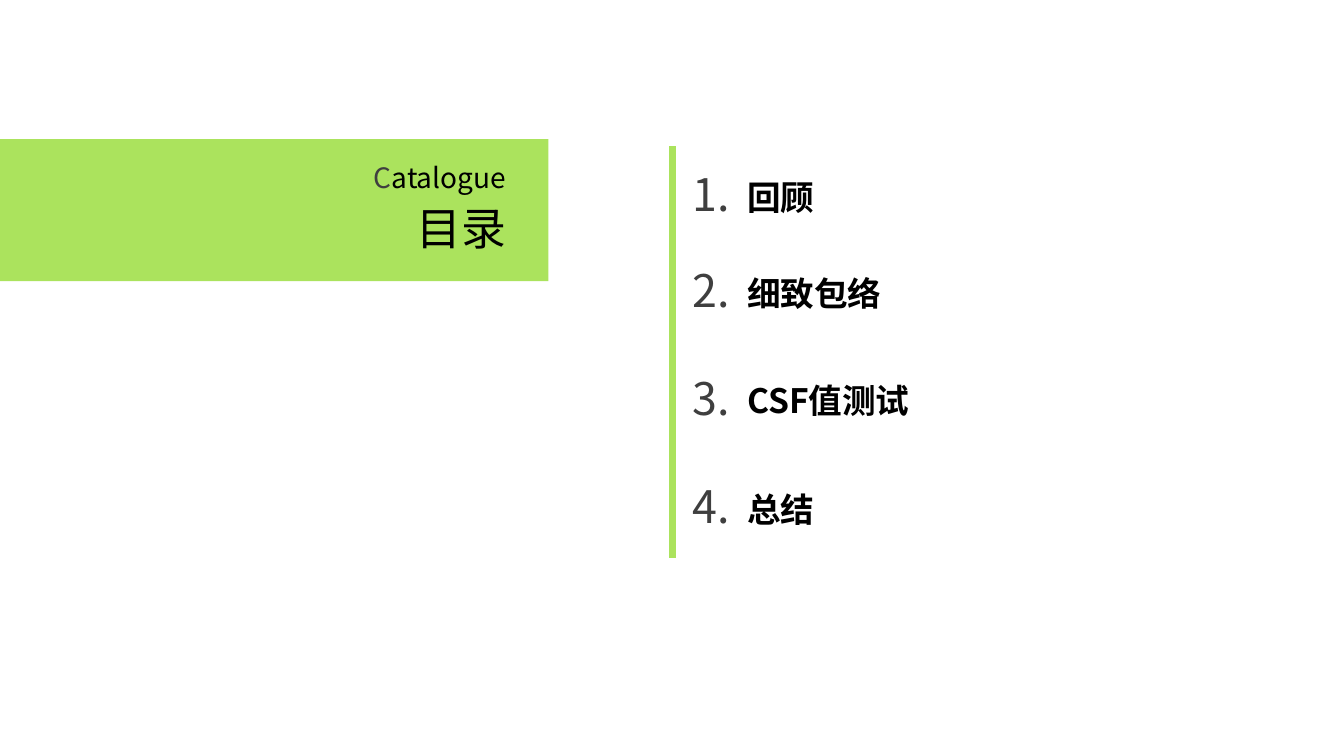
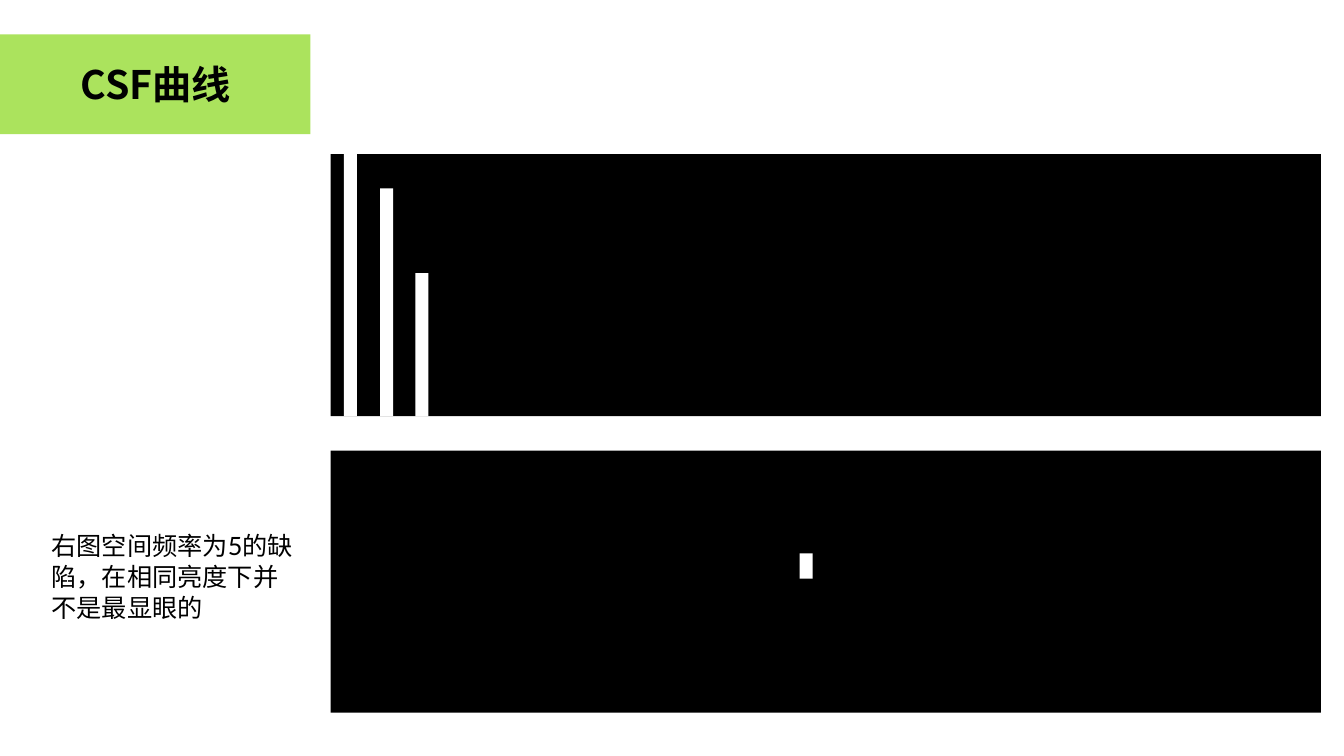
from lxml import etree
from pptx import Presentation
from pptx.dml.color import RGBColor
from pptx.enum.shapes import MSO_CONNECTOR, MSO_SHAPE
from pptx.enum.text import MSO_ANCHOR, MSO_AUTO_SIZE, PP_ALIGN
from pptx.oxml.ns import qn
from pptx.util import Pt

LEFT, MID, RIGHT = PP_ALIGN.LEFT, PP_ALIGN.CENTER, PP_ALIGN.RIGHT
TOP, CENTER = MSO_ANCHOR.TOP, MSO_ANCHOR.MIDDLE
RECT, LINE = MSO_SHAPE.RECTANGLE, MSO_CONNECTOR.STRAIGHT
FIXED = MSO_AUTO_SIZE.NONE

PX = 9144
PT = 0.72
SANS, LATO = "Noto Sans CJK JP", "Lato"
GREEN, BLACK, WHITE, GRAY = "ABE35D", "000000", "FFFFFF", "3F3F3F"

TOPICS = [("回顾", 192), ("细致包络", 287), ("CSF值测试", 394), ("总结", 502)]
NOTE = "右图空间频率为5的缺陷，在相同亮度下并不是最显眼的"
PANELS = [(328, 153, 982, 260), (328, 447, 982, 260)]
BAR = 13
BARS = [(341, 153, 260), (377, 187, 226), (412, 271, 142), (793, 549, 25)]


def color(code):
    return RGBColor.from_string(code)


def place(shape, box):
    shape.left, shape.top, shape.width, shape.height = [n * PX for n in box]


def rect(slide, box, fill):
    shape = slide.shapes.add_shape(RECT, *[n * PX for n in box])
    shape.shadow.inherit = False
    shape.fill.solid()
    shape.fill.fore_color.rgb = color(fill)
    shape.line.fill.background()
    return shape


def style(shape, size, align=LEFT, bold=False, ink=BLACK, font=SANS,
          anchor=CENTER, pitch=None):
    frame = shape.text_frame
    frame.word_wrap = True
    frame.auto_size = FIXED
    frame.vertical_anchor = anchor
    frame.margin_left = frame.margin_right = 0
    frame.margin_top = frame.margin_bottom = 0
    for par in frame.paragraphs:
        props = par._p.get_or_add_pPr()
        props.set("marL", "0")
        props.set("indent", "0")
        etree.SubElement(props, qn("a:buNone"))
        par.alignment = align
        par.space_before = Pt(0)
        if pitch:
            par.line_spacing = Pt(pitch)
        for run in par.runs:
            run.font.size = Pt(size)
            run.font.bold = bold
            run.font.name = font
            run.font.color.rgb = color(ink)
            east = etree.SubElement(run._r.get_or_add_rPr(), qn("a:ea"))
            east.set("typeface", SANS)


def label(slide, text, box, size, **look):
    shape = slide.shapes.add_textbox(*[n * PX for n in box])
    shape.text_frame.text = text
    style(shape, size, **look)
    return shape


def page(deck, title, box, band, size, **look):
    slide = deck.slides.add_slide(deck.slide_layouts[1])
    head = slide.shapes.title
    head.text_frame.text = title
    place(head, box)
    style(head, size, **look)
    head.element.addprevious(rect(slide, band, GREEN).element)
    return slide


def body(slide, lines, box, size, **look):
    shape = slide.placeholders[1]
    shape.text_frame.text = "\n".join(lines)
    place(shape, box)
    style(shape, size, anchor=TOP, **look)
    return shape.text_frame.paragraphs


def agenda(deck):
    slide = page(deck, "目录", (347, 199, 155, 54), (0, 138, 544, 141),
                 32, align=RIGHT)
    word = label(slide, "C", (279, 159, 223, 34), 20, align=RIGHT, ink=GRAY)
    word.text_frame.paragraphs[0].add_run().text = "atalogue"
    rest = word.text_frame.paragraphs[0].runs[1].font
    rest.size, rest.name = Pt(20), SANS
    rest.color.rgb = color(BLACK)

    pitch = 29
    mids = [mid for _, mid in TOPICS]
    pars = body(slide, [name for name, _ in TOPICS],
                (741, mids[0] - 17, 378, 350), 24, bold=True, pitch=pitch)
    for par, last, mid in zip(pars[1:], mids, mids[1:]):
        par.space_before = Pt(round((mid - last) * PT - pitch, 1))
    for num, mid in enumerate(mids, 1):
        label(slide, f"{num}.", (687, mid - 27, 42, 54), 32, ink=GRAY)

    rule = slide.shapes.add_connector(
        LINE, *[n * PX for n in (667, 145, 667, 554)])
    rule.line.color.rgb = color(GREEN)
    rule.line.width = Pt(5)
    etree.SubElement(rule.element.spPr, qn("a:effectLst"))


def curve(deck):
    slide = page(deck, "CSF曲线", (53, 60, 203, 47), (0, 34, 308, 99),
                 28, align=MID, bold=True)
    body(slide, [NOTE], (51, 526, 247, 95), 18, font=LATO, pitch=22)
    for box in PANELS:
        rect(slide, box, BLACK)
    for left, top, tall in BARS:
        rect(slide, (left, top, BAR, tall), WHITE)


def main():
    deck = Presentation()
    deck.slide_width, deck.slide_height = 1333 * PX, 750 * PX
    agenda(deck)
    curve(deck)
    deck.save("out.pptx")


if __name__ == "__main__":
    main()
